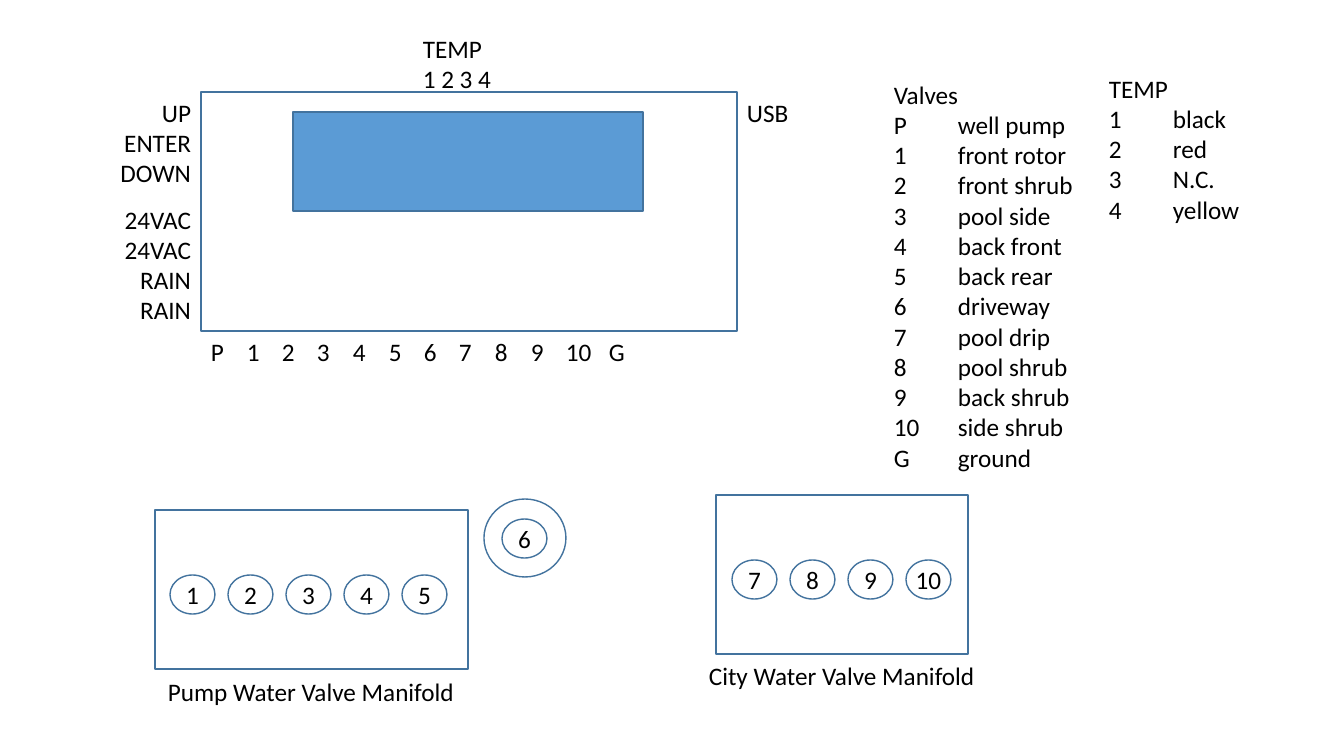
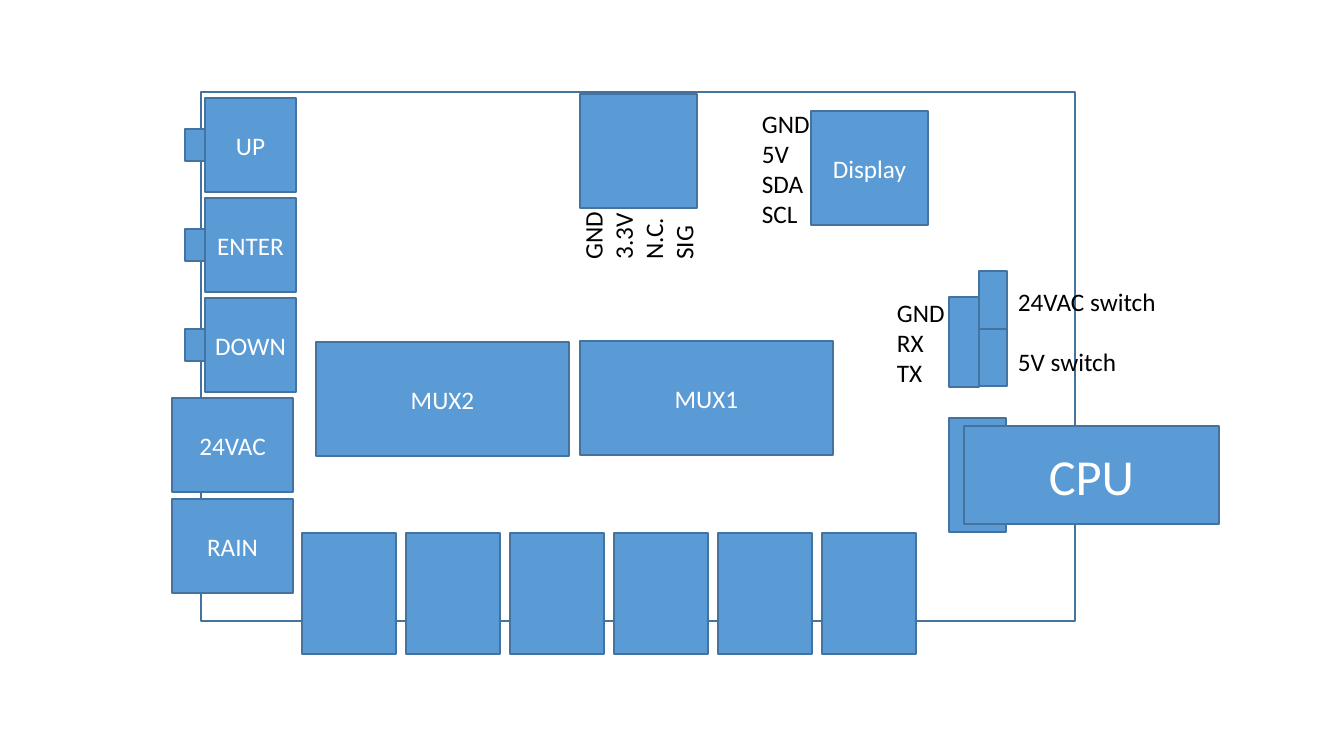
from lxml.etree import SubElement
from pptx import Presentation
from pptx.dml.color import RGBColor
from pptx.enum.shapes import MSO_SHAPE as SHAPE
from pptx.enum.text import MSO_ANCHOR as ANCHOR, MSO_AUTO_SIZE as AUTO, PP_ALIGN as ALIGN
from pptx.oxml.ns import qn
from pptx.util import Emu, Pt

SCALE = 914400 / 100.8
FONT = "Calibri"
BLUE = RGBColor(0x5B, 0x9B, 0xD5)
EDGE = RGBColor(0x43, 0x73, 0x9E)
BLACK = RGBColor(0, 0, 0)
WHITE = RGBColor(0xFF, 0xFF, 0xFF)


def px(n):
    """Turn pixels into EMU."""
    return Emu(round(n * SCALE))


class Diagram:
    """Shared style and the current slide."""

    def __init__(self):
        """Start a widescreen presentation."""
        self.prs = Presentation()
        self.prs.slide_width, self.prs.slide_height = px(1344), px(756)
        self.s = None

    def new_slide(self):
        """Add a blank slide and make it current."""
        self.s = self.prs.slides.add_slide(self.prs.slide_layouts[6])

    def style(self, p, color, size, align):
        """Set the font and alignment of a paragraph."""
        p.alignment = align
        p.font.name, p.font.size = FONT, Pt(size)
        p.font.color.rgb = color

    def shape(self, x, y, w, h, text="", fill=None, kind=SHAPE.RECTANGLE, size=18):
        """Draw an outlined shape, filled or open, with centred text."""
        sp = self.s.shapes.add_shape(kind, px(x), px(y), px(w), px(h))
        sp.shadow.inherit = False
        if fill is None:
            sp.fill.background()
        else:
            sp.fill.solid()
            sp.fill.fore_color.rgb = fill
        sp.line.color.rgb, sp.line.width = EDGE, Pt(1)
        if text:
            tf = sp.text_frame
            tf.word_wrap = False
            tf.vertical_anchor = ANCHOR.MIDDLE
            tf.text = text
            color = BLACK if fill is None else WHITE
            self.style(tf.paragraphs[0], color, size, ALIGN.CENTER)

    def block(self, x, y, w, h, text="", size=18):
        """Draw a blue component."""
        self.shape(x, y, w, h, text, BLUE, size=size)

    def valve(self, x, y, number):
        """Draw a numbered valve."""
        self.shape(x, y, 45, 39, str(number), kind=SHAPE.OVAL)

    def label(self, x, y, w, h, lines, align=ALIGN.LEFT, tabs=(), rotation=0):
        """Write lines of black text, with optional tab stops."""
        sp = self.s.shapes.add_textbox(px(x), px(y), px(w), px(h))
        sp.rotation = rotation
        tf = sp.text_frame
        tf.word_wrap = bool(tabs)
        tf.auto_size = AUTO.SHAPE_TO_FIT_TEXT
        tf.text = "\n".join(lines)
        for p in tf.paragraphs:
            if tabs:
                stops = SubElement(p._p.get_or_add_pPr(), qn("a:tabLst"))
                for stop in tabs:
                    SubElement(stops, qn("a:tab"), pos=str(px(stop)), algn="l")
            self.style(p, BLACK, 18, align)


def wiring_slide(d):
    """Show the controller terminals and the valve manifolds."""
    d.new_slide()
    d.shape(201, 92, 536, 239)
    d.block(293, 112, 350, 99)
    pins = ["P", *map(str, range(1, 11)), "G"]
    pin_tabs = [round(35.5 * i) for i in range(1, 11)] + [398]
    d.label(201, 331, 443, 40, ["\t".join(pins)], tabs=pin_tabs)
    d.label(113, 199, 88, 132, ["24VAC", "24VAC", "RAIN", "RAIN"], ALIGN.RIGHT)
    d.label(109, 92, 92, 102, ["UP", "ENTER", "DOWN"], ALIGN.RIGHT)
    d.label(737, 92, 62, 40, ["USB"])
    d.label(413, 28, 90, 72, ["TEMP", "1 2 3 4"])

    d.shape(155, 510, 313, 159)
    d.shape(484, 499, 82, 78, kind=SHAPE.OVAL)
    d.valve(502, 519, 6)
    d.shape(716, 495, 252, 159)
    for x, y, numbers in ((170, 575, range(1, 6)), (732, 560, range(7, 11))):
        for i, number in enumerate(numbers):
            d.valve(x + 58 * i, y, number)
    d.label(158, 671, 309, 40, ["Pump Water Valve Manifold"])
    d.label(699, 655, 289, 40, ["City Water Valve Manifold"])

    zones = ["well pump", "front rotor", "front shrub", "pool side", "back front",
             "back rear", "driveway", "pool drip", "pool shrub", "back shrub",
             "side shrub", "ground"]
    valves = [f"{pin}\t{zone}" for pin, zone in zip(pins, zones)]
    d.label(884, 74, 202, 407, ["Valves", *valves], tabs=[64])
    wires = [f"{i}\t{wire}" for i, wire in
             enumerate(["black", "red", "N.C.", "yellow"], 1)]
    d.label(1099, 68, 153, 163, ["TEMP", *wires], tabs=[64])


def board_slide(d):
    """Show the parts on the controller board."""
    d.new_slide()
    d.shape(201, 92, 874, 529)
    for i, name in enumerate(["24VAC", "RAIN"]):
        d.block(172, 398 + 101 * i, 121, 94, name)
    for i, name in enumerate(["UP", "ENTER", "DOWN"]):
        y = 98 + 100 * i
        d.block(185, y + 31, 37, 32)
        d.block(205, y, 91, 94, name)
    d.block(580, 94, 117, 114)
    d.block(811, 111, 117, 114, "Display")
    d.block(316, 342, 253, 114, "MUX2")
    d.block(580, 341, 253, 114, "MUX1")
    for i in range(6):
        d.block(302 + 104 * i, 533, 94, 121)
    d.block(949, 418, 57, 114)
    d.block(979, 328, 28, 58)
    d.block(949, 297, 30, 90)
    d.block(979, 271, 28, 58)
    d.block(964, 426, 255, 98, "CPU", size=36)

    d.label(752, 103, 69, 132, ["GND", "5V", "SDA", "SCL"])
    d.label(604, 169, 69, 132, ["GND", "3.3V", "N.C.", "SIG"], rotation=270)
    d.label(1008, 281, 159, 40, ["24VAC switch"])
    d.label(1008, 341, 120, 40, ["5V switch"])
    d.label(887, 292, 69, 102, ["GND", "RX", "TX"])


diagram = Diagram()
wiring_slide(diagram)
board_slide(diagram)
diagram.prs.save("out.pptx")
